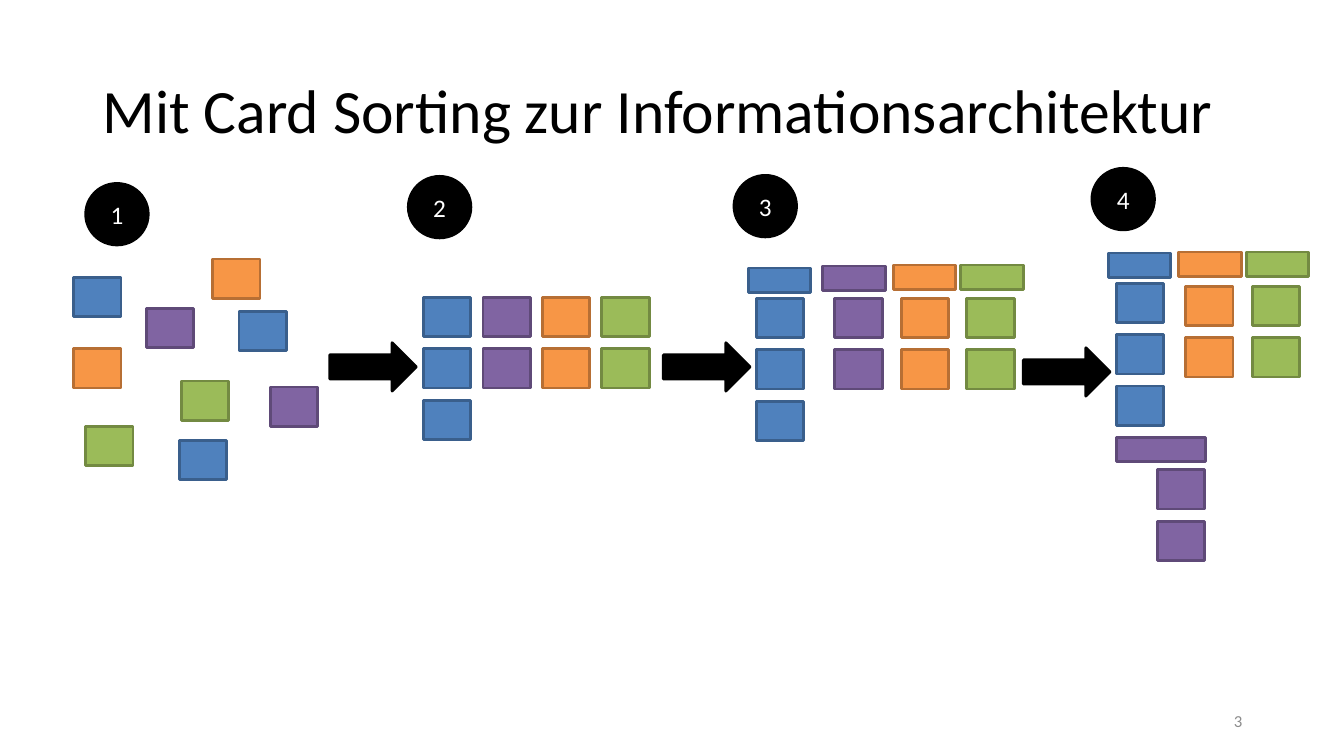
from dataclasses import dataclass

from pptx import Presentation
from pptx.dml.color import RGBColor
from pptx.enum.shapes import MSO_SHAPE as Preset
from pptx.enum.text import MSO_ANCHOR as Anchor, PP_ALIGN as Align
from pptx.util import Inches, Pt


@dataclass(frozen=True)
class Theme:
    font: str = "Calibri"
    title_size: int = 44
    badge_size: int = 18
    page_size: int = 12
    line_width: int = 2
    black: str = "000000"
    white: str = "FFFFFF"
    gray: str = "8C8C8C"
    blue: tuple = ("4F81BD", "3A5F8C")
    purple: tuple = ("8064A2", "5F4A78")
    orange: tuple = ("F79646", "B76F34")
    green: tuple = ("9BBB59", "738A42")


THEME = Theme()
BLUE, PURPLE, ORANGE, GREEN = THEME.blue, THEME.purple, THEME.orange, THEME.green
CARD = (0.47, 0.39)
HEADER = (0.62, 0.24)
WIDE_HEADER = (0.89, 0.24)
BADGE = (0.62, 0.61)
ARROW = (0.86, 0.48)
ROW_PITCH = 0.51
COLUMN_PITCH = 0.59


def write_text(shape, text, *, size, color, align=Align.LEFT, spacing=1.0):
    frame = shape.text_frame
    frame.word_wrap = True
    frame.vertical_anchor = Anchor.MIDDLE
    paragraph = frame.paragraphs[0]
    paragraph.alignment = align
    paragraph.line_spacing = spacing
    run = paragraph.add_run()
    run.text = text
    run.font.name = THEME.font
    run.font.size = Pt(size)
    run.font.color.rgb = RGBColor.from_string(color)


def add_text(slide, box, text, **text_format):
    write_text(slide.shapes.add_textbox(*map(Inches, box)), text, **text_format)


def add_preset(slide, preset, left, top, size, colors=(THEME.black, THEME.black)):
    fill, line = colors
    shape = slide.shapes.add_shape(preset, *map(Inches, (left, top, *size)))
    shape.shadow.inherit = False
    shape.fill.solid()
    shape.fill.fore_color.rgb = RGBColor.from_string(fill)
    shape.line.color.rgb = RGBColor.from_string(line)
    shape.line.width = Pt(THEME.line_width)
    return shape


def add_badge(slide, left, top, number):
    badge = add_preset(slide, Preset.OVAL, left, top, BADGE)
    write_text(badge, str(number), size=THEME.badge_size, color=THEME.white,
               align=Align.CENTER)


def add_column(slide, left, top, colors, count):
    for row in range(count):
        add_preset(slide, Preset.RECTANGLE, left, top + row * ROW_PITCH, CARD, colors)


def add_scattered_cards(slide, left, top):
    add_badge(slide, left + 0.12, top, 1)
    cards = [
        (BLUE, 0, 0.93), (BLUE, 1.05, 2.55), (BLUE, 1.64, 1.27),
        (ORANGE, 0, 1.64), (ORANGE, 1.38, 0.75),
        (PURPLE, 1.95, 2.02), (PURPLE, 0.72, 1.24),
        (GREEN, 1.07, 1.96), (GREEN, 0.12, 2.41),
    ]
    for colors, x, y in cards:
        add_preset(slide, Preset.RECTANGLE, left + x, top + y, CARD, colors)


def add_sorted_cards(slide, left, top):
    add_badge(slide, left, top, 2)
    groups = [(BLUE, 3), (PURPLE, 2), (ORANGE, 2), (GREEN, 2)]
    for index, (colors, count) in enumerate(groups):
        add_column(slide, left + 0.15 + index * COLUMN_PITCH, top + 1.2, colors, count)


def add_named_groups(slide, left, top, number, groups):
    add_badge(slide, left, top, number)
    for colors, count, header_size, (header_x, header_y), (card_x, card_y) in groups:
        add_preset(slide, Preset.RECTANGLE, left + header_x, top + header_y,
                   header_size, colors)
        add_column(slide, left + card_x, top + card_y, colors, count)


NAMED_GROUPS = [
    (BLUE, 3, HEADER, (0.14, 0.92), (0.22, 1.22)),
    (PURPLE, 2, HEADER, (0.88, 0.9), (1.0, 1.22)),
    (ORANGE, 2, HEADER, (1.58, 0.89), (1.66, 1.22)),
    (GREEN, 2, HEADER, (2.25, 0.89), (2.31, 1.22)),
]
NESTED_GROUPS = [
    (BLUE, 3, HEADER, (0.16, 0.84), (0.24, 1.14)),
    (ORANGE, 2, HEADER, (0.86, 0.83), (0.93, 1.17)),
    (GREEN, 2, HEADER, (1.53, 0.83), (1.59, 1.17)),
    (PURPLE, 2, WIDE_HEADER, (0.24, 2.67), (0.65, 2.99)),
]


def build_card_sorting_slide(presentation):
    slide = presentation.slides.add_slide(presentation.slide_layouts[6])
    add_text(slide, (0.92, 0.4, 11.5, 1.45),
             "Mit Card Sorting zur Informationsarchitektur",
             size=THEME.title_size, color=THEME.black, spacing=0.9)
    add_text(slide, (9.42, 6.95, 3, 0.4), "3",
             size=THEME.page_size, color=THEME.gray, align=Align.RIGHT)
    add_scattered_cards(slide, 0.73, 1.82)
    add_sorted_cards(slide, 4.05, 1.75)
    add_named_groups(slide, 7.28, 1.74, 3, NAMED_GROUPS)
    add_named_groups(slide, 10.83, 1.67, 4, NESTED_GROUPS)
    for left, top in [(3.27, 3.4), (6.58, 3.4), (10.15, 3.45)]:
        add_preset(slide, Preset.RIGHT_ARROW, left, top, ARROW)


def main():
    presentation = Presentation()
    presentation.slide_width = Inches(13.33)
    presentation.slide_height = Inches(7.5)
    build_card_sorting_slide(presentation)
    presentation.save("out.pptx")


if __name__ == "__main__":
    main()
